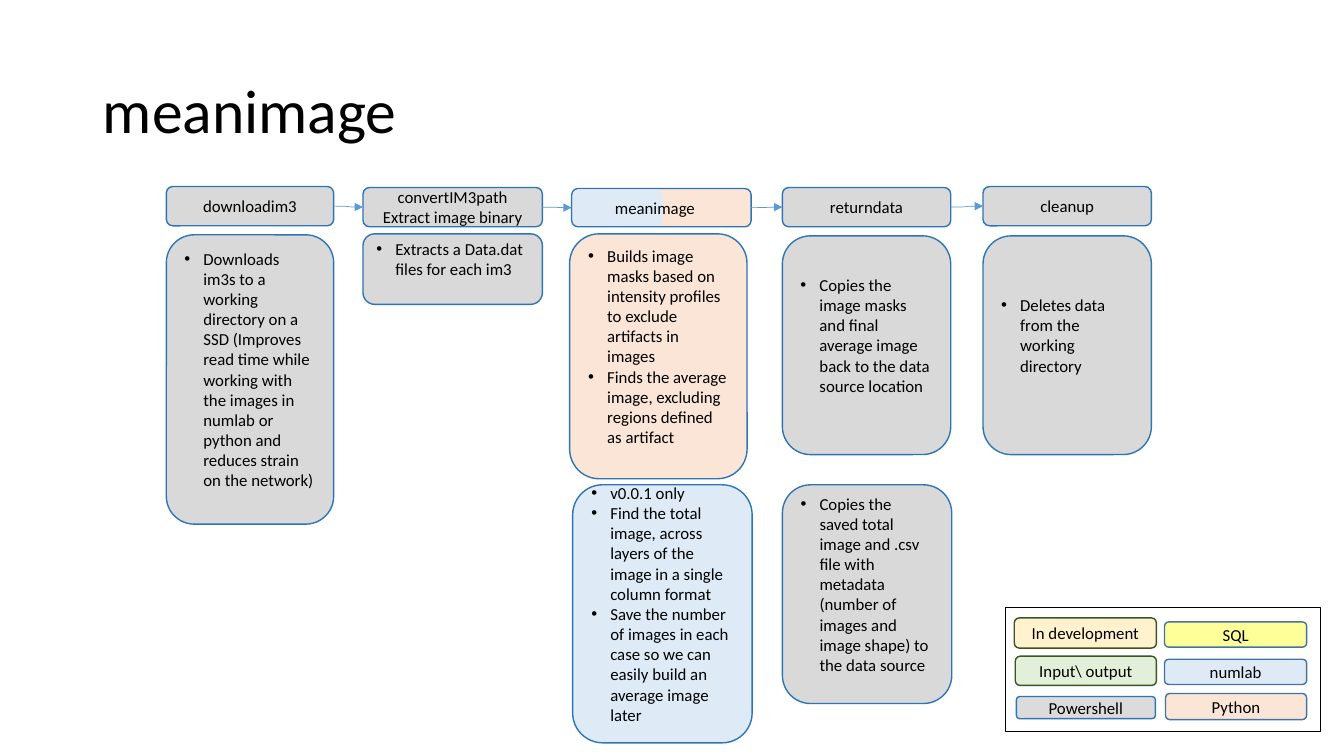
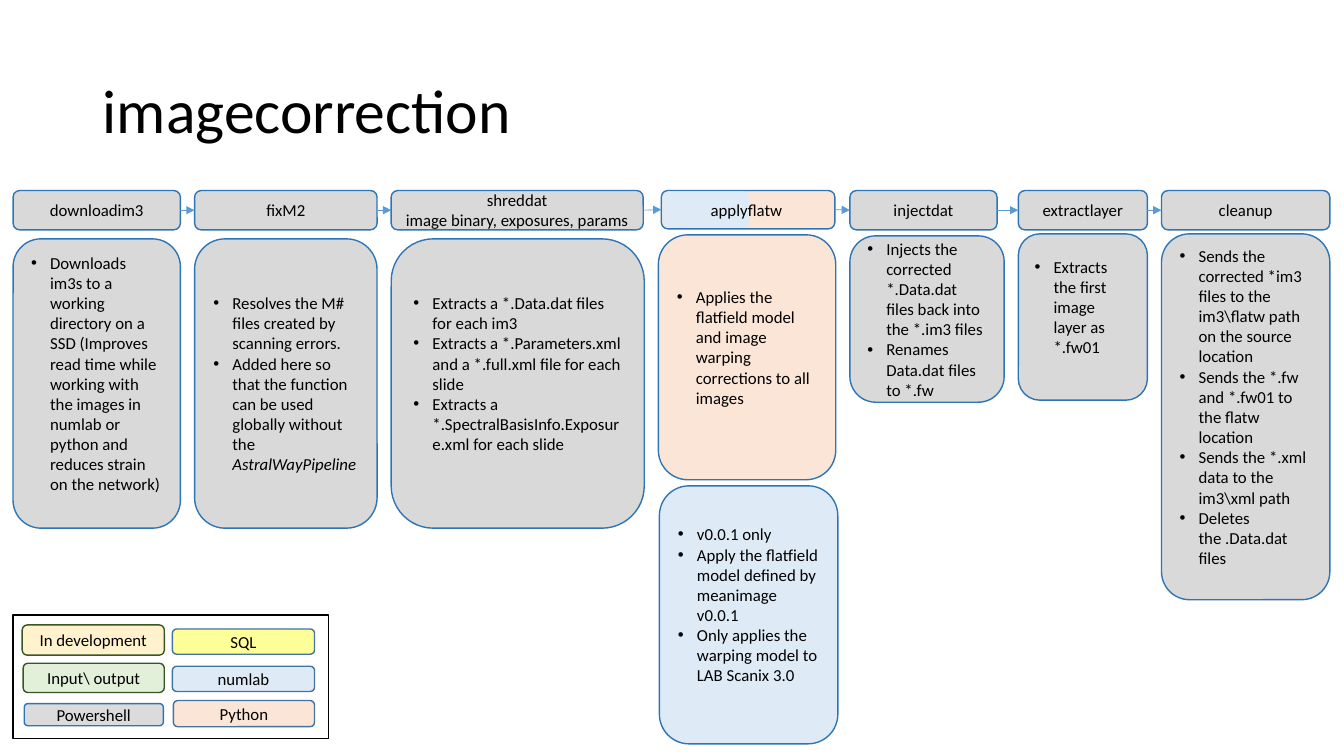
from lxml.etree import SubElement
from pptx import Presentation
from pptx.dml.color import RGBColor
from pptx.enum.shapes import MSO_CONNECTOR, MSO_SHAPE
from pptx.enum.text import MSO_ANCHOR, MSO_AUTO_SIZE, PP_ALIGN
from pptx.oxml.ns import qn
from pptx.util import Inches, Pt

GREY, PEACH, BLUE = "D9D9D9", "FBE5D6", "DEEBF7"
EDGE, GREEN, STEEL = "2E75B6", "385723", "43739E"
ARROW, BLACK, WHITE = "5B9BD5", "000000", "FFFFFF"
FONT = "Calibri"
HIGH = 3.9

LEGEND = [
    (0.9, 1, 14.1, 3, "In development", "FFF2CC", GREEN),
    (1, 4.8, 14, 2.9, "Input\\ output", "E2F0D9", GREEN),
    (1.1, 8.8, 13.8, 2.2, "Powershell", "DBDBDB", EDGE),
    (15.8, 1.4, 14.1, 2.5, "SQL", "FFFF99", STEEL),
    (15.8, 5.1, 14.1, 2.5, "numlab", BLUE, STEEL),
    (15.9, 8.5, 14, 2.6, "Python", PEACH, STEEL),
]

LOAD = [
    "Downloads im3s to a working directory on a SSD (Improves read time "
    "while working with the images in numlab or python and reduces strain "
    "on the network)"
]


def grid(cells):
    return Inches(cells / 10)


def paint(code):
    return RGBColor.from_string(code)


class Deck:
    def __init__(self):
        self.show = Presentation()
        self.show.slide_width = Inches(13.33)
        self.show.slide_height = Inches(7.5)
        self.slide = None

    def style(self, para, size=12):
        para.font.size = Pt(size)
        para.font.name = FONT
        para.font.color.rgb = paint(BLACK)

    def page(self, text):
        self.slide = self.show.slides.add_slide(self.show.slide_layouts[5])
        title = self.slide.shapes.title
        title.left, title.top = grid(9.2), grid(4)
        title.width, title.height = grid(115), grid(14.5)
        frame = title.text_frame
        frame.text = text
        frame.auto_size = MSO_AUTO_SIZE.NONE
        frame.vertical_anchor = MSO_ANCHOR.MIDDLE
        para = frame.paragraphs[0]
        para.alignment = PP_ALIGN.LEFT
        para.line_spacing = 0.9
        self.style(para, 44)

    def box(self, x, y, w, h, fill, edge=EDGE, kind=MSO_SHAPE.ROUNDED_RECTANGLE, home=None):
        shapes = (home or self.slide).shapes
        box = shapes.add_shape(kind, grid(x), grid(y), grid(w), grid(h))
        box.shadow.inherit = False
        box.fill.solid()
        box.fill.fore_color.rgb = paint(fill)
        if edge:
            box.line.color.rgb = paint(edge)
            box.line.width = Pt(1)
        else:
            box.line.fill.background()
        return box

    def label(self, box, text):
        frame = box.text_frame
        frame.word_wrap = True
        frame.vertical_anchor = MSO_ANCHOR.MIDDLE
        frame.text = text
        for para in frame.paragraphs:
            para.alignment = PP_ALIGN.CENTER
            self.style(para)

    def step(self, x, y, w, text):
        box = self.box(x, y, w, HIGH, GREY)
        self.label(box, text)
        return box

    def split(self, x, y, w, text, shift):
        group = self.slide.shapes.add_group_shape()
        box = self.box(x, y, w, 3.8, PEACH, home=group)
        self.box(x + 0.1, y + 0.1, w / 2, 3.6, BLUE, None, home=group)
        note = group.shapes.add_textbox(
            grid(x + shift), grid(y + 0.45), grid(w - shift), grid(3))
        note.text_frame.word_wrap = True
        note.text_frame.text = text
        self.style(note.text_frame.paragraphs[0])
        return box

    def arrow(self, start, end):
        line = self.slide.shapes.add_connector(MSO_CONNECTOR.CURVE, 0, 0, 0, 0)
        line.begin_connect(start, 3)
        line.end_connect(end, 1)
        line.line.color.rgb = paint(ARROW)
        line.line.width = Pt(0.5)
        props = line._element.spPr
        SubElement(props.find(qn("a:ln")), qn("a:tailEnd"), type="triangle")
        SubElement(props, qn("a:effectLst"))

    def chain(self, steps):
        boxes = [self.split(*step) if len(step) == 5 else self.step(*step)
                 for step in steps]
        for start, end in zip(boxes, boxes[1:]):
            self.arrow(start, end)

    def card(self, x, y, w, h, items, fill=GREY, gap=2):
        frame = self.box(x, y, w, h, fill).text_frame
        frame.word_wrap = True
        frame.vertical_anchor = MSO_ANCHOR.MIDDLE
        frame.margin_bottom = grid(0.5 + gap)
        for rank, item in enumerate(items):
            para = frame.add_paragraph() if rank else frame.paragraphs[0]
            para.alignment = PP_ALIGN.LEFT
            props = para._p.get_or_add_pPr()
            props.set("marL", str(grid(1.88)))
            props.set("indent", str(-grid(1.88)))
            SubElement(props, qn("a:buFont"), typeface="Arial")
            SubElement(props, qn("a:buChar"), char="•")
            self.style(para)
            plain, slant = item if isinstance(item, tuple) else (item, "")
            para.add_run().text = plain
            if slant:
                run = para.add_run()
                run.text = slant
                run.font.italic = True

    def legend(self, x, y):
        group = self.slide.shapes.add_group_shape()
        self.box(x, y, 31.3, 12.3, WHITE, BLACK, MSO_SHAPE.RECTANGLE, group)
        for dx, dy, w, h, text, fill, edge in LEGEND:
            self.label(self.box(x + dx, y + dy, w, h, fill, edge, home=group), text)


def mean(deck):
    deck.page("meanimage")
    deck.chain([
        (16.5, 18.5, 16.6, "downloadim3"),
        (36, 18.6, 17.8, "convertIM3path\nExtract image binary"),
        (56.7, 18.7, 17.8, "meanimage", 3.3),
        (77.6, 18.6, 16.7, "returndata"),
        (97.5, 18.5, 16.7, "cleanup"),
    ])
    deck.legend(99.7, 60.3)
    deck.card(16.5, 23.3, 16.6, 28.7, LOAD)
    deck.card(36, 23.2, 17.8, 7, ["Extracts a Data.dat files for each im3"])
    deck.card(56.8, 48.1, 17.8, 25.6, [
        "v0.0.1 only",
        "Find the total image, across layers of the image in a single column format",
        "Save the number of images in each case so we can easily build an average image later",
    ], BLUE)
    deck.card(77.6, 48.1, 16.8, 21.7, [
        "Copies the saved total image and .csv file with metadata (number of "
        "images and image shape) to the data source",
    ])
    deck.card(97.5, 23.4, 16.7, 21.7, ["Deletes data from the working directory"])
    deck.card(56.5, 23.2, 17.6, 24.3, [
        "Builds image masks based on intensity profiles to exclude artifacts in images",
        "Finds the average image, excluding regions defined as artifact",
    ], PEACH)
    deck.card(77.6, 23.4, 16.7, 21.7, [
        "Copies the image masks and final average image back to the data source location",
    ])


def correct(deck):
    top = 18.9
    deck.page("imagecorrection")
    deck.chain([
        (1.3, top, 16.6, "downloadim3"),
        (19.3, top, 18.1, "fixM2"),
        (38.8, top, 25, "shreddat\nimage binary, exposures, params"),
        (65.6, top, 17.2, "applyflatw", 3.9),
        (84.3, top, 14.6, "injectdat"),
        (101, top, 12.8, "extractlayer"),
        (115.2, top, 16.7, "cleanup"),
    ])
    deck.legend(1.3, 61)
    deck.card(1.3, 23.7, 16.6, 28.7, LOAD)
    deck.card(19.3, 23.7, 18.1, 28.7, [
        "Resolves the M# files created by scanning errors.",
        ("Added here so that the function can be used globally without the ",
         "AstralWayPipeline"),
    ], gap=0)
    deck.card(65.4, 48.2, 17.7, 25.6, [
        "v0.0.1 only",
        "Apply the flatfield model defined by meanimage v0.0.1",
        "Only applies the warping model to LAB Scanix 3.0",
    ], BLUE)
    deck.card(65.3, 23.3, 17.6, 24.3, [
        "Applies the flatfield model and image warping corrections to all images",
    ], PEACH)
    deck.card(38.8, 23.7, 25.1, 28.7, [
        "Extracts a *.Data.dat files for each im3",
        "Extracts a *.Parameters.xml and a *.full.xml file for each slide",
        "Extracts a *.SpectralBasisInfo.Exposure.xml for each slide",
    ])
    deck.card(84.3, 23.4, 15.3, 16.5, [
        "Injects the corrected *.Data.dat files back into the *.im3 files",
        "Renames Data.dat files to *.fw",
    ], gap=0)
    deck.card(101, 23.2, 12.8, 16.5, ["Extracts the first image layer as *.fw01"])
    deck.card(115.2, 23.2, 16.7, 36.3, [
        "Sends the corrected *im3 files to the im3\\flatw path on the source location",
        "Sends the *.fw and *.fw01 to the flatw location",
        "Sends the *.xml data to the im3\\xml path",
        "Deletes the .Data.dat files",
    ])


def main():
    deck = Deck()
    mean(deck)
    correct(deck)
    deck.show.save("out.pptx")


if __name__ == "__main__":
    main()
